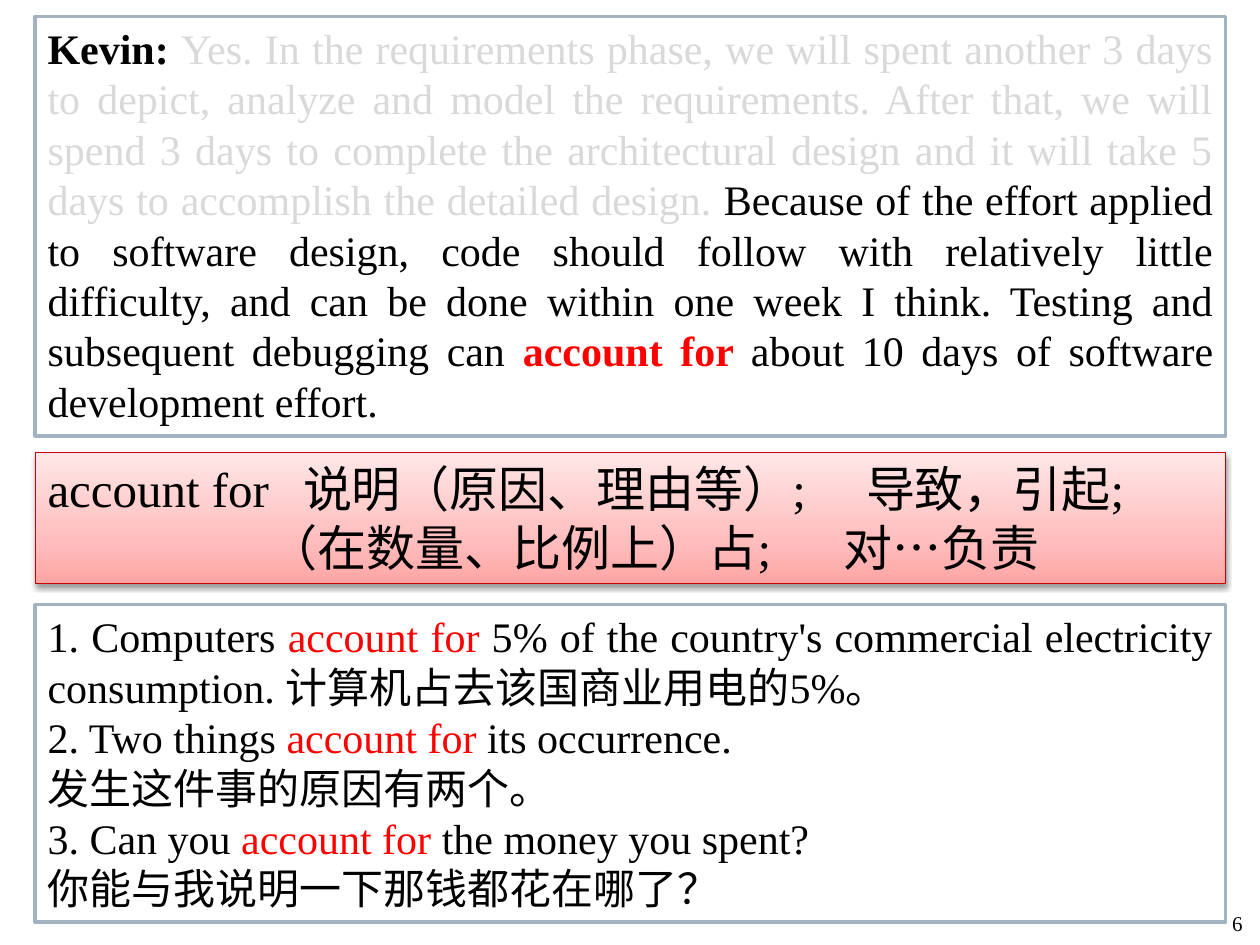
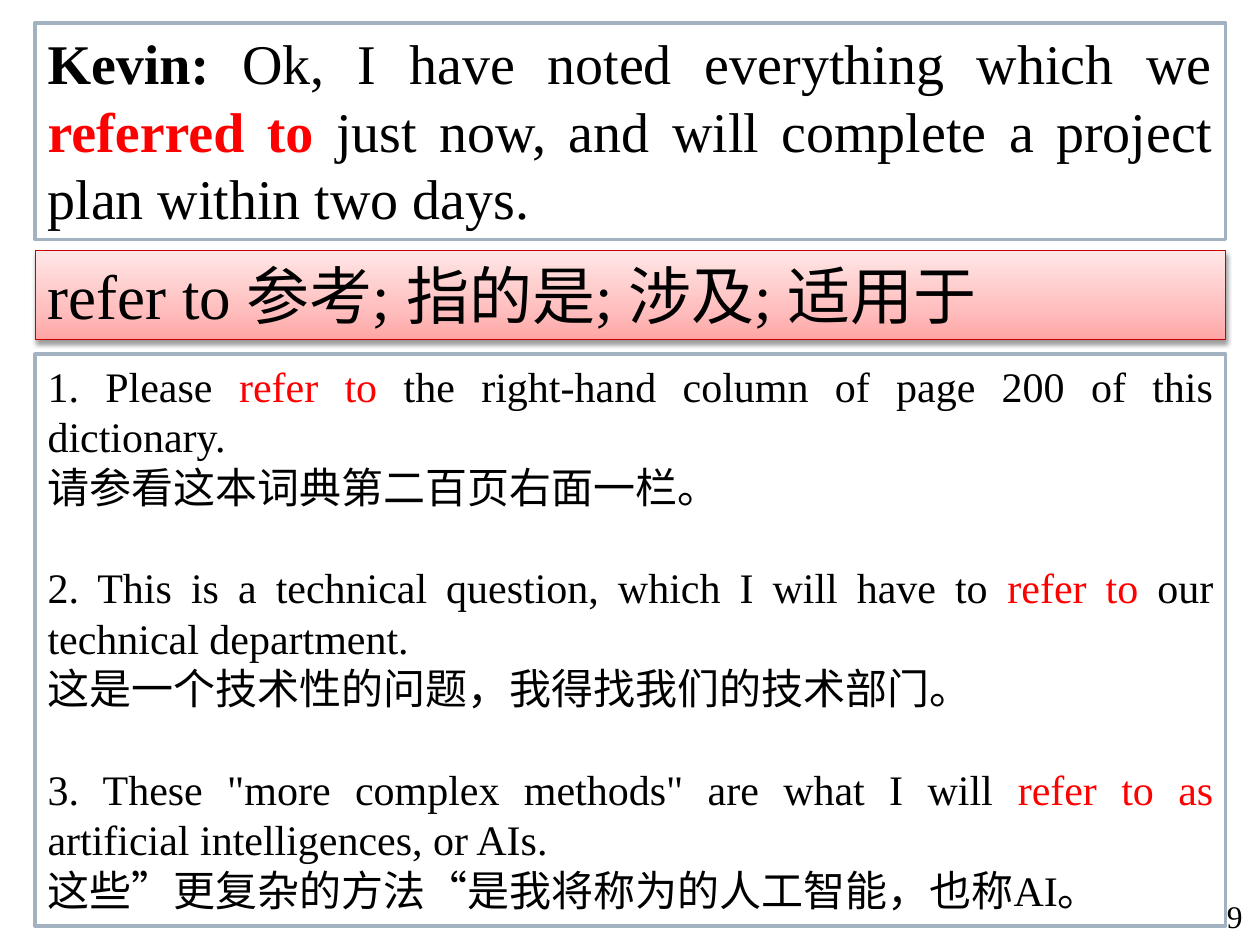
"""Builds two vocabulary slides: a dialogue, a phrase band and example sentences."""
from lxml import etree
from pptx import Presentation
from pptx.dml.color import RGBColor
from pptx.enum.shapes import MSO_SHAPE
from pptx.enum.text import MSO_ANCHOR, MSO_AUTO_SIZE, PP_ALIGN
from pptx.oxml.ns import qn
from pptx.util import Cm, Pt

RECT = MSO_SHAPE.RECTANGLE
TOP, BOTTOM = MSO_ANCHOR.TOP, MSO_ANCHOR.BOTTOM
LEFT, RIGHT, FULL = PP_ALIGN.LEFT, PP_ALIGN.RIGHT, PP_ALIGN.JUSTIFY
GROW = MSO_AUTO_SIZE.SHAPE_TO_FIT_TEXT
BLACK = RGBColor(0x00, 0x00, 0x00)
WHITE = RGBColor(0xFF, 0xFF, 0xFF)
RED = RGBColor(0xFF, 0x00, 0x00)
PALE = RGBColor(0xD9, 0xD9, 0xD9)
STEEL = RGBColor(0xA3, 0xB2, 0xC1)
CRIMSON = RGBColor(0xC8, 0x00, 0x00)
BLEND = [(0, "FFA5A5"), (35, "FFBFBF"), (100, "FFE7E7")]
FONT = "Times New Roman"


def write(para, text, size=24, color=BLACK, bold=False):
    run = para.add_run()
    run.text = text
    run.font.name = FONT
    run.font.size = Pt(size)
    run.font.bold = bold
    run.font.color.rgb = color


def add_box(slide, top, height, line, width):
    box = slide.shapes.add_shape(RECT, Cm(0.71), Cm(top), Cm(24), Cm(height))
    box.shadow.inherit = False
    box.line.color.rgb = line
    box.line.width = Pt(width)
    frame = box.text_frame
    frame.word_wrap = True
    frame.auto_size = GROW
    frame.vertical_anchor = TOP
    return box


PAGES = [
    {
        "page": "6", "page_size": 12,
        "talk": (0.33, 8.46, 24, [
            ("Kevin: ", BLACK, True),
            ("Yes. In the requirements phase, we will spent another 3 days to depict, "
             "analyze and model the requirements. After that, we will spend 3 days to "
             "complete the architectural design and it will take 5 days to accomplish "
             "the detailed design. ", PALE, False),
            ("Because of the effort applied to software design, code should follow with "
             "relatively little difficulty, and can be done within one week I think. "
             "Testing and subsequent debugging can ", BLACK, False),
            ("account for ", RED, True),
            ("about 10 days of software development effort.", BLACK, False)]),
        "band": (9.12, 2.64, 28, [
            ("account for\t说明（原因、理由等）;\t导致，引起;", [5.15, 16.5]),
            ("\t（在数量、比例上）占;\t对…负责", [4.45, 16.05])]),
        "cases": (12.19, 6.4, 0, [
            ("1. Computers ", "account for", " 5% of the country's commercial electricity "
             "consumption. 计算机占去该国商业用电的5%。", ""),
            ("2. Two things ", "account for ", "its occurrence.",
             "发生这件事的原因有两个。"),
            ("3. Can you ", "account for ", "the money you spent?",
             "你能与我说明一下那钱都花在哪了？")]),
    },
    {
        "page": "9", "page_size": 18,
        "talk": (0.46, 4.37, 32, [
            ("Kevin: ", BLACK, True),
            ("Ok, I have noted everything which we ", BLACK, False),
            ("referred to ", RED, True),
            ("just now, and will complete a project plan within two days.", BLACK, False)]),
        "band": (5.05, 1.8, 36, [("refer to 参考; 指的是; 涉及; 适用于", [])]),
        "cases": (7.14, 11.53, 28.8, [
            ("1. Please ", "refer to ", "the right-hand column of page 200 of this "
             "dictionary.", "请参看这本词典第二百页右面一栏。"),
            ("2. This is a technical question, which I will have to ", "refer to ",
             "our technical department.", "这是一个技术性的问题，我得找我们的技术部门。"),
            ('3. These "more complex methods" are what I will ', "refer to as ",
             "artificial intelligences, or AIs.",
             "这些”更复杂的方法“是我将称为的人工智能，也称AI。")]),
    },
]

deck = Presentation()
deck.slide_width, deck.slide_height = Cm(25.4), Cm(19.05)

for page in PAGES:
    slide = deck.slides.add_slide(deck.slide_layouts[6])

    number = slide.shapes.add_textbox(Cm(23.8), Cm(17.53), Cm(1.5), Cm(1.45)).text_frame
    number.word_wrap = True
    number.vertical_anchor = BOTTOM
    number.paragraphs[0].alignment = RIGHT
    write(number.paragraphs[0], page["page"], size=page["page_size"])

    top, height, size, runs = page["talk"]
    talk = add_box(slide, top, height, STEEL, 2)
    talk.fill.solid()
    talk.fill.fore_color.rgb = WHITE
    para = talk.text_frame.paragraphs[0]
    para.alignment = FULL
    for text, color, bold in runs:
        write(para, text, size=size, color=color, bold=bold)

    top, height, size, lines = page["band"]
    band = add_box(slide, top, height, CRIMSON, 0.75)
    band.fill.gradient()
    band.fill.gradient_angle = 90
    props = band.element.spPr
    stops = props.find(".//" + qn("a:gsLst"))
    for stop in list(stops):
        stops.remove(stop)
    for place, tint in BLEND:
        stop = etree.SubElement(stops, qn("a:gs"), pos=str(place * 1000))
        etree.SubElement(stop, qn("a:srgbClr"), val=tint)
    shade = etree.SubElement(props.find(qn("a:effectLst")), qn("a:outerShdw"),
                             blurRad=str(Pt(3.1)), dist=str(Pt(1.6)),
                             dir="5400000", rotWithShape="0")
    tone = etree.SubElement(shade, qn("a:srgbClr"), val="000000")
    etree.SubElement(tone, qn("a:alpha"), val="38000")
    for i, (text, tabs) in enumerate(lines):
        frame = band.text_frame
        para = frame.add_paragraph() if i else frame.paragraphs[0]
        para.alignment = LEFT
        write(para, text, size=size)
        if tabs:
            row = etree.SubElement(para._p.get_or_add_pPr(), qn("a:tabLst"))
            for tab in tabs:
                etree.SubElement(row, qn("a:tab"), pos=str(Cm(tab)), algn="l")

    top, height, gap, cases = page["cases"]
    cards = add_box(slide, top, height, STEEL, 2)
    cards.fill.solid()
    cards.fill.fore_color.rgb = WHITE
    frame = cards.text_frame
    for i, (start, phrase, end, gloss) in enumerate(cases):
        para = frame.add_paragraph() if i else frame.paragraphs[0]
        para.alignment = FULL
        para.space_before = Pt(gap if i else 0)
        write(para, start)
        write(para, phrase, color=RED)
        write(para, end)
        if gloss:
            para = frame.add_paragraph()
            para.alignment = FULL
            write(para, gloss)

deck.save("out.pptx")
